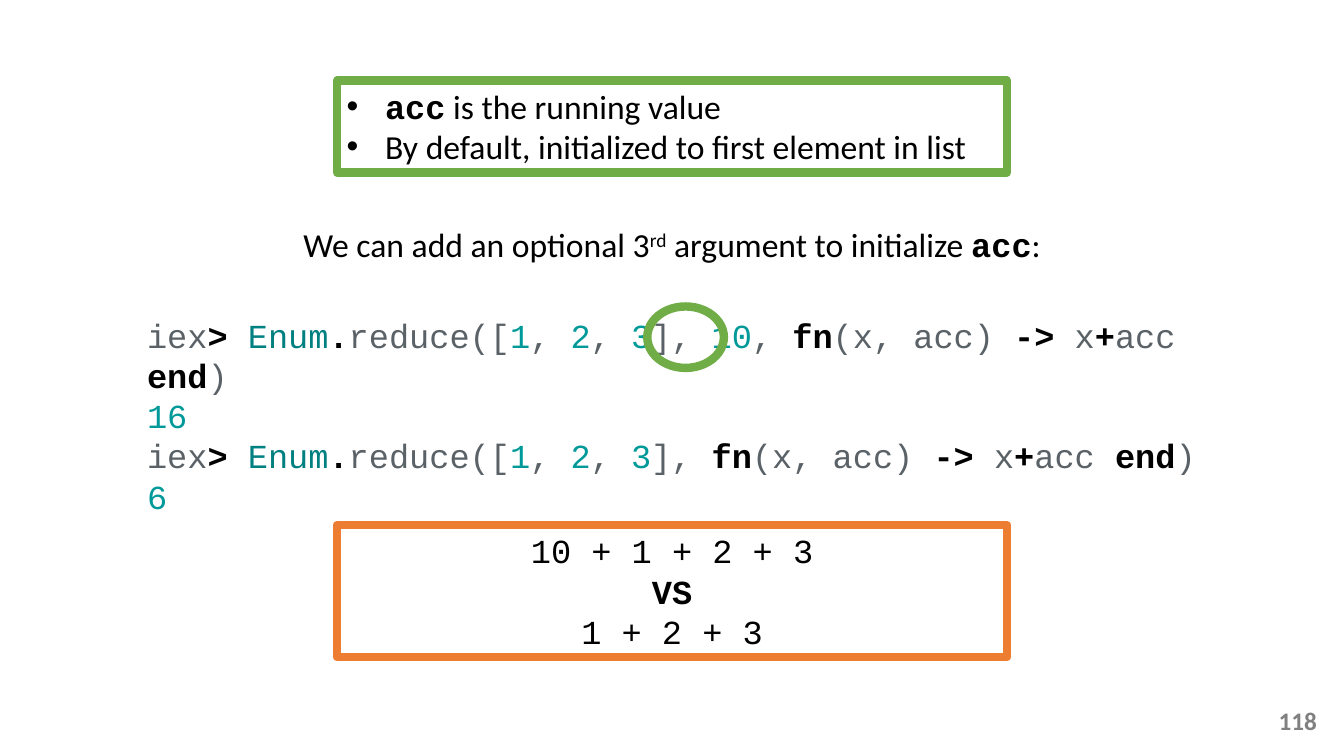
from lxml import etree
from pptx import Presentation
from pptx.dml.color import RGBColor
from pptx.enum import shapes, text
from pptx.oxml import ns
from pptx.util import Inches, Pt

COLORS = {"black": "000000", "white": "FFFFFF", "green": "70AD47", "orange": "ED7D31",
          "slate": "5A6267", "teal": "008080", "cyan": "009999", "gray": "808080"}
SANS, MONO = "Calibri", "Courier New"
LEFT, CENTER, RIGHT = text.PP_ALIGN.LEFT, text.PP_ALIGN.CENTER, text.PP_ALIGN.RIGHT

# Run formats: font name, colour, bold
FORMATS = {
    "body": (SANS, "black", False),
    "term": (MONO, "black", True),
    "sum": (MONO, "black", False),
    "code": (MONO, "slate", False),
    "module": (MONO, "teal", False),
    "number": (MONO, "cyan", False),
    "page": (SANS, "gray", True),
}


def write(shape, lines, align=LEFT, size=24, bulleted=False, anchor=text.MSO_ANCHOR.TOP,
          fit=text.MSO_AUTO_SIZE.SHAPE_TO_FIT_TEXT):
    """Fill a shape with lines, each a list of (format, wording) runs."""
    frame = shape.text_frame
    settings = {"word_wrap": True, "auto_size": fit, "vertical_anchor": anchor}
    for name, value in settings.items():
        setattr(frame, name, value)
    for index, runs in enumerate(lines):
        paragraph = frame.paragraphs[0] if index == 0 else frame.add_paragraph()
        paragraph.alignment = align
        if bulleted:
            properties = paragraph._p.get_or_add_pPr()
            properties.set("marL", str(Inches(0.38)))
            properties.set("indent", str(-Inches(0.38)))
            etree.SubElement(properties, ns.qn("a:buFont"), typeface="Arial")
            etree.SubElement(properties, ns.qn("a:buChar"), char="•")
        for style, wording in runs:
            run = paragraph.add_run()
            run.text = wording
            font_name, color, bold = FORMATS[style]
            for name, value in {"name": font_name, "size": Pt(size), "bold": bold}.items():
                setattr(run.font, name, value)
            run.font.color.rgb = RGBColor.from_string(COLORS[color])
            if wording == "rd":
                run.font._element.set("baseline", "30000")


def add_outline(kind, place, color, filled=True):
    shape = slide.shapes.add_shape(kind, *map(Inches, place))
    shape.shadow.inherit = False
    if filled:
        shape.fill.solid()
        shape.fill.fore_color.rgb = RGBColor.from_string(COLORS["white"])
    else:
        shape.fill.background()
    shape.line.color.rgb = RGBColor.from_string(COLORS[color])
    shape.line.width = Pt(6)
    return shape


presentation = Presentation()
presentation.slide_width, presentation.slide_height = Inches(13.33), Inches(7.5)
slide = presentation.slides.add_slide(presentation.slide_layouts[6])

# Facts about acc
facts = add_outline(shapes.MSO_SHAPE.RECTANGLE, (3.34, 0.8, 6.65, 0.91), "green")
write(facts, [
    [("term", "acc"), ("body", " is the running value")],
    [("body", "By default, initialized to first element in list")],
], bulleted=True)

# Introduction to the third argument
intro = slide.shapes.add_textbox(*map(Inches, (2.89, 2.17, 7.55, 0.5)))
write(intro, [[("body", "We can add an optional 3"), ("body", "rd"),
               ("body", " argument to initialize "), ("term", "acc"), ("body", ":")]], CENTER)

# Code session: the same call with and without an initial value
call_start = [("code", "iex"), ("term", "> "), ("module", "Enum"), ("term", "."),
              ("code", "reduce(["), ("number", "1"), ("code", ", "), ("number", "2"),
              ("code", ", "), ("number", "3"), ("code", "], ")]
initial_value = [("number", "10"), ("code", ", ")]
call_end = [("term", "fn"), ("code", "(x, acc) "), ("term", "-> "), ("code", "x"),
            ("term", "+"), ("code", "acc "), ("term", "end"), ("code", ")")]
session = slide.shapes.add_textbox(*map(Inches, (1.36, 3.07, 10.61, 1.72)))
write(session, [
    call_start + initial_value + call_end,
    [("number", "16")],
    call_start + call_end,
    [("number", "6")],
])

add_outline(shapes.MSO_SHAPE.OVAL, (6.42, 3.04, 0.76, 0.61), "green", filled=False)

# Comparison of the two sums
sums = add_outline(shapes.MSO_SHAPE.RECTANGLE, (3.34, 5.21, 6.65, 1.31), "orange")
write(sums, [[("sum", "10 + 1 + 2 + 3")], [("term", "VS")], [("sum", "1 + 2 + 3")]], CENTER)

page_number = slide.shapes.add_textbox(*map(Inches, (10.16, 6.95, 3, 0.4)))
write(page_number, [[("page", "118")]], RIGHT, size=18,
      anchor=text.MSO_ANCHOR.MIDDLE, fit=text.MSO_AUTO_SIZE.NONE)

presentation.save("out.pptx")
